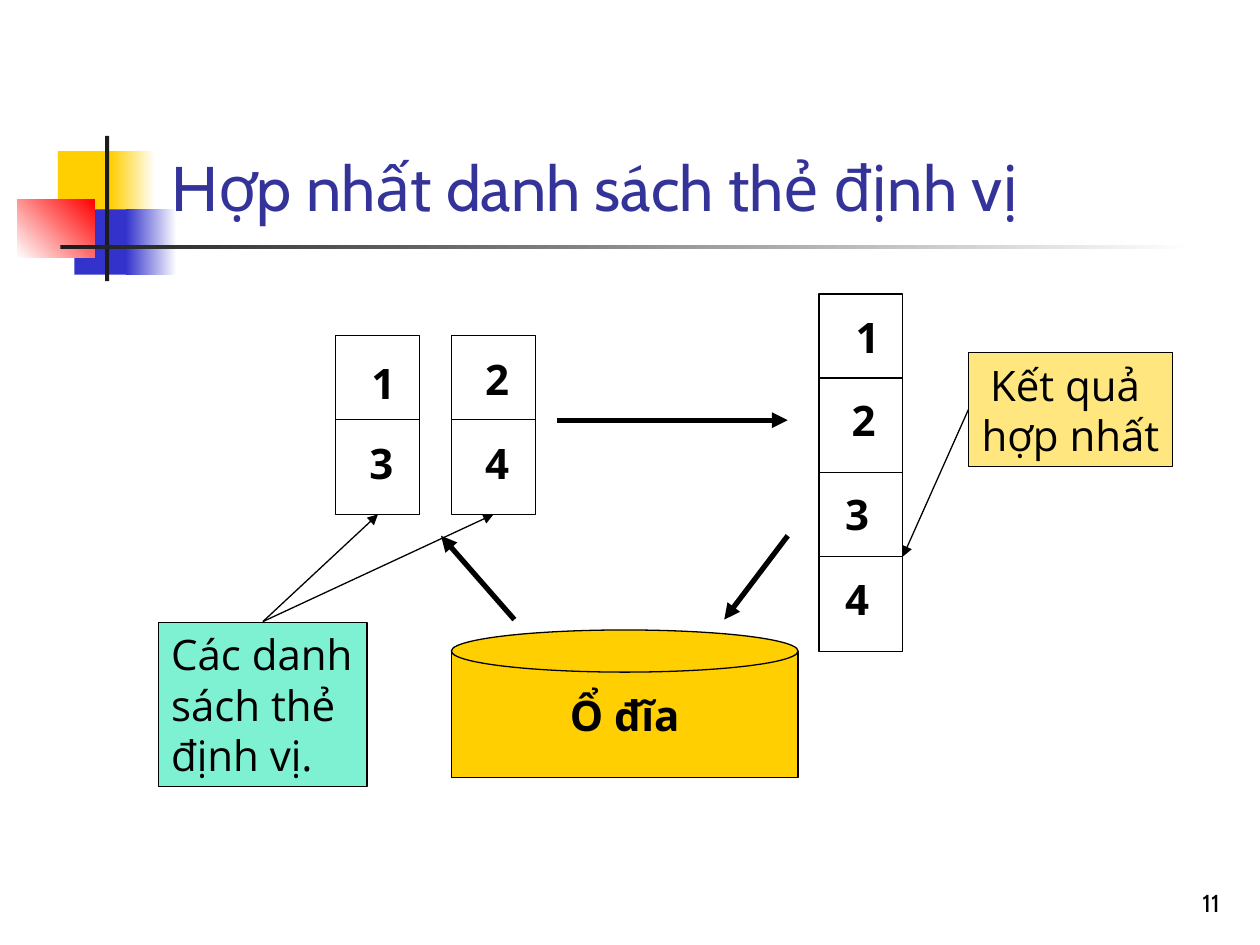
import pptx
import pptx.dml.color
import pptx.enum.shapes
import pptx.enum.text
import pptx.oxml.ns
import pptx.util
from lxml import etree

Cm = pptx.util.Cm
Pt = pptx.util.Pt
SHAPES = pptx.enum.shapes.MSO_SHAPE
ALIGN = pptx.enum.text.PP_ALIGN
ANCHOR = pptx.enum.text.MSO_ANCHOR
qn = pptx.oxml.ns.qn

COLORS = {
    "yellow": "FFCF01", "blue": "3333CC", "red": "FF0000", "dark": "1C1C1C",
    "white": "FFFFFF", "black": "000000", "title": "333399", "mint": "00E4A8",
}
FORMATS = {
    "title": {"name": "Cabin", "size": Pt(36), "bold": False},
    "number": {"name": "Cabin", "size": Pt(14), "bold": False},
    "label": {"name": "Open Sans", "size": Pt(24), "bold": False},
    "strong": {"name": "Open Sans", "size": Pt(24), "bold": True},
}


class SlideBuilder:
    """Holds the style and the current slide."""

    def __init__(self, slide):
        self.slide = slide

    def color(self, name):
        return pptx.dml.color.RGBColor.from_string(COLORS[name])

    def shape(self, box, fill, kind=SHAPES.RECTANGLE, line=None, alpha=None):
        shape = self.slide.shapes.add_shape(kind, *map(Cm, box))
        shape.shadow.inherit = False
        shape.fill.solid()
        shape.fill.fore_color.rgb = self.color(fill)
        if alpha:
            color = shape._element.spPr.find(".//" + qn("a:srgbClr"))
            etree.SubElement(color, qn("a:alpha"), val=str(alpha * 1000))
        if line:
            shape.line.color.rgb = self.color(line)
            shape.line.width = Pt(0.75)
        else:
            shape.line.fill.background()
        return shape

    def gradient(self, box, start, end, angle=0):
        shape = self.shape(box, start)
        shape.fill.gradient()
        shape.fill.gradient_angle = angle
        for stop, name, position in zip(shape.fill.gradient_stops, (start, end), (0, 1)):
            stop.color.rgb = self.color(name)
            stop.position = position

    def add_lines(self, shape, lines, style, align=ALIGN.CENTER, anchor=ANCHOR.MIDDLE,
                  wrap=False, color="black"):
        frame = shape.text_frame
        frame.word_wrap = wrap
        frame.vertical_anchor = anchor
        for index, line in enumerate(lines):
            paragraph = frame.add_paragraph() if index else frame.paragraphs[0]
            paragraph.alignment = align
            run = paragraph.add_run()
            run.text = line
            for name, value in FORMATS[style].items():
                setattr(run.font, name, value)
            run.font.color.rgb = self.color(color)

    def text(self, box, line, style, **options):
        shape = self.slide.shapes.add_textbox(*map(Cm, box))
        self.add_lines(shape, [line], style, **options)

    def line(self, start, end, width=0.75, arrow=True):
        connector = self.slide.shapes.add_connector(
            pptx.enum.shapes.MSO_CONNECTOR.STRAIGHT, *map(Cm, start + end))
        connector.line.color.rgb = self.color("black")
        connector.line.width = Pt(width)
        properties = connector._element.spPr
        if arrow:
            etree.SubElement(properties.find(qn("a:ln")), qn("a:tailEnd"), type="triangle")
        etree.SubElement(properties, qn("a:effectLst"))

    def posting_list(self, left, top, entries):
        """A two-cell box; each entry is a digit and its offset in the box."""
        cell, height = 1.69, 3.6
        self.shape((left, top, cell, height), "white", line="black")
        self.line((left, top + cell), (left + cell, top + cell), arrow=False)
        for digit, across, down in entries:
            self.text((left + across, top + down, 1.04, 1.27), digit, "strong")


def main():
    presentation = pptx.Presentation()
    presentation.slide_width = Cm(25.4)
    presentation.slide_height = Cm(19.05)
    builder = SlideBuilder(presentation.slides.add_slide(presentation.slide_layouts[6]))

    # Corner decoration and title rule
    builder.shape((1.17, 3.05, 1.22, 1.32), "yellow")
    builder.gradient((2.23, 3.05, 0.9, 1.32), "yellow", "white")
    builder.shape((1.5, 4.22, 1.17, 1.32), "blue")
    builder.gradient((2.54, 4.22, 1.02, 1.32), "blue", "white")
    builder.gradient((0.35, 4.02, 1.56, 1.18), "white", "red", angle=45)
    builder.shape((2.12, 2.74, 0.08, 2.93), "dark")
    builder.gradient((1.22, 4.94, 22.86, 0.09), "dark", "white")

    # Title and slide number
    builder.text((3.2, 0.58, 21.64, 4.06), "Hợp nhất danh sách thẻ định vị", "title",
                 align=ALIGN.LEFT, anchor=ANCHOR.BOTTOM, wrap=True, color="title")
    builder.text((19.56, 17.35, 5.28, 1.27), "11", "number",
                 align=ALIGN.RIGHT, anchor=ANCHOR.BOTTOM, wrap=True)

    # Source lists, then the merged list made of two boxes
    builder.posting_list(6.77, 6.77, [("1", 0.44, 0.32), ("3", 0.4, 1.92)])
    builder.posting_list(9.1, 6.77, [("2", 0.4, 0.22), ("4", 0.4, 1.92)])
    builder.posting_list(16.51, 5.93, [("1", 0.46, 0.22), ("2", 0.38, 1.89)])
    builder.posting_list(16.51, 9.53, [("3", 0.25, 0.2), ("4", 0.25, 1.9)])

    # Disk: body and lid
    body = builder.shape((9.1, 13.13, 6.99, 2.54), "yellow", line="black")
    builder.add_lines(body, ["Ổ đĩa"], "strong")
    builder.shape((9.1, 12.7, 6.99, 0.85), "yellow", SHAPES.OVAL, line="black")

    # Flow arrows
    for start, end in [((10.37, 12.49), (8.89, 10.8)),
                       ((11.22, 8.47), (15.88, 8.47)),
                       ((15.88, 10.8), (14.6, 12.49))]:
        builder.line(start, end, width=3)

    # Callouts and their pointers
    lists_note = builder.shape((3.2, 12.55, 4.2, 3.3), "mint", line="black", alpha=50)
    builder.add_lines(lists_note, ["Các danh sách thẻ định vị."], "label",
                      align=ALIGN.LEFT, wrap=True)
    for target in [(7.62, 10.37), (9.95, 10.37)]:
        builder.line((5.3, 12.53), target)
    result_note = builder.shape((19.52, 7.11, 4.12, 2.29), "yellow", line="black", alpha=50)
    builder.add_lines(result_note, ["Kết quả ", "hợp nhất"], "label")
    builder.line((19.52, 8.26), (18.2, 11.22))

    presentation.save("out.pptx")


if __name__ == "__main__":
    main()
